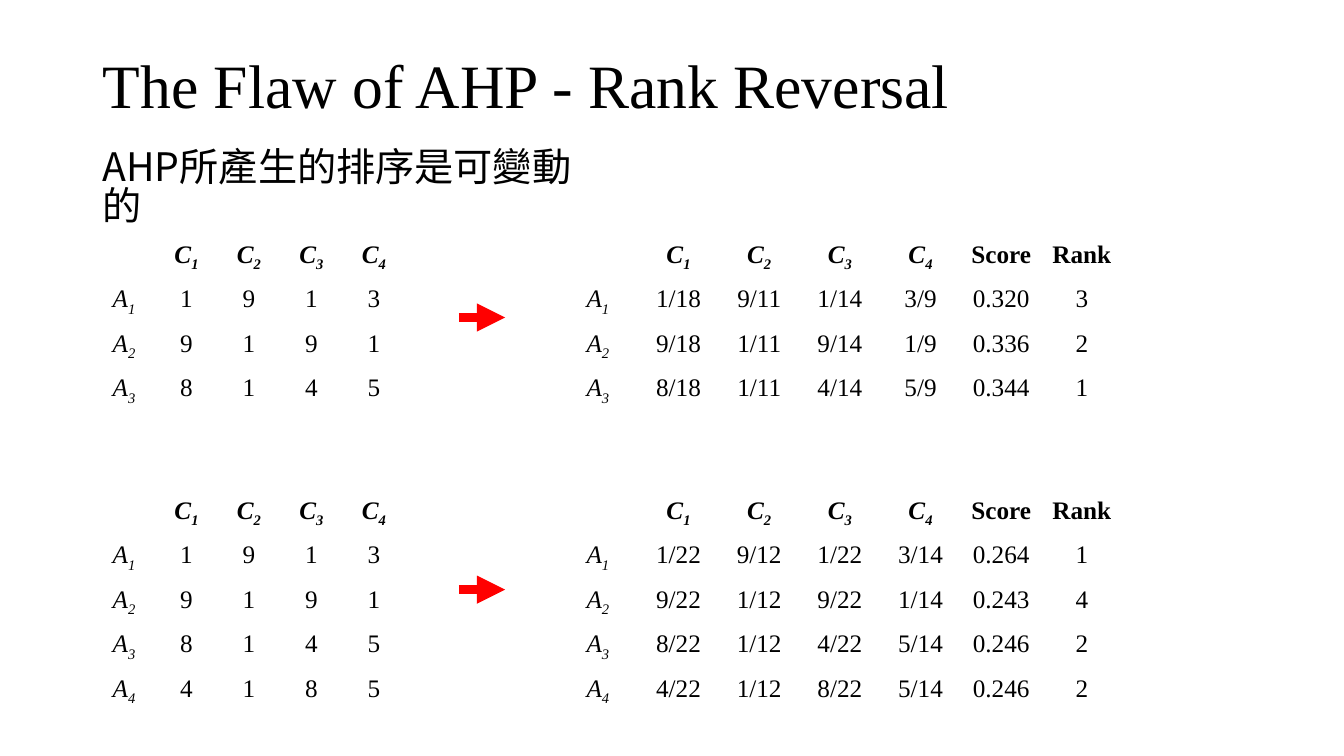
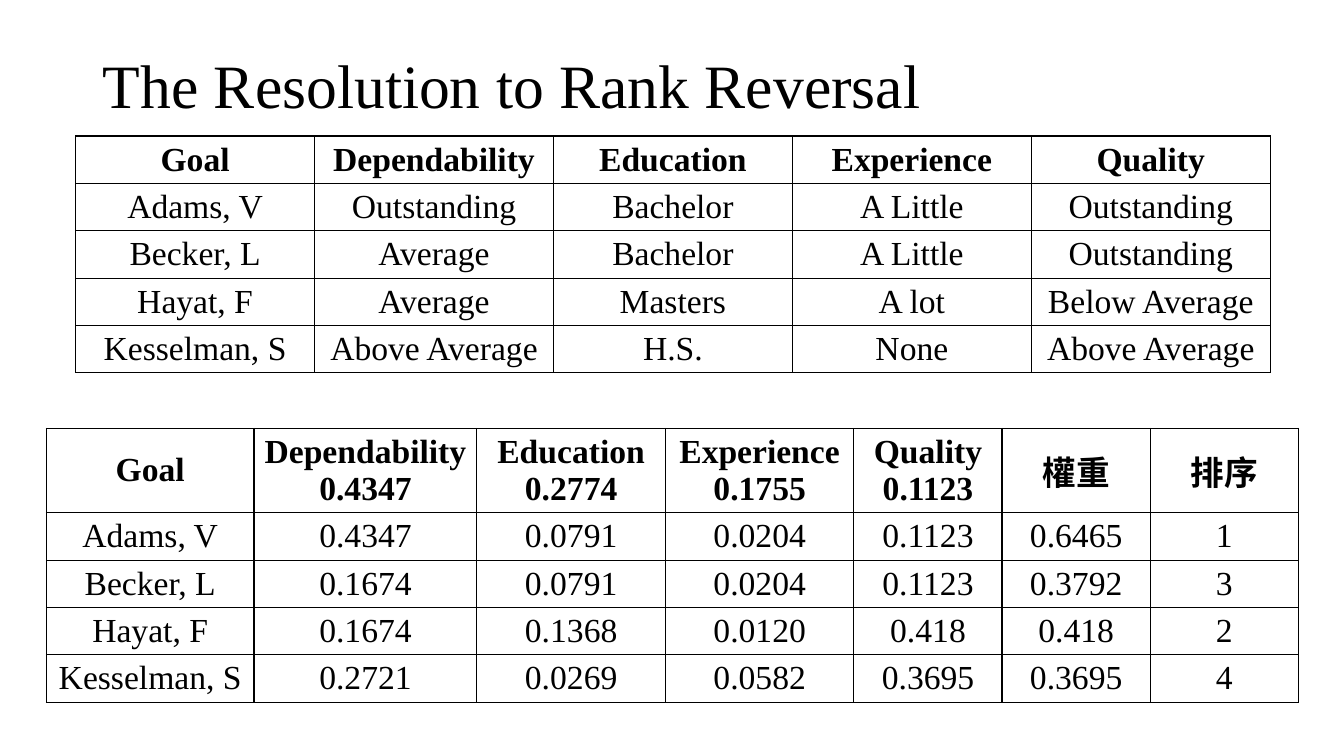
"""Build two slides on rank reversal in AHP and how to resolve it."""
from lxml import etree
from pptx import Presentation
from pptx.dml.color import RGBColor
from pptx.enum.shapes import MSO_CONNECTOR
from pptx.enum.text import MSO_ANCHOR, MSO_AUTO_SIZE, PP_ALIGN
from pptx.oxml.ns import qn
from pptx.util import Inches, Pt

COLORS = {"text": "000000", "paper": "FFFFFF", "arrow": "FF0000"}
SERIF = "Times New Roman"
CJK = "Noto Sans CJK SC"
LEFT = 0.92

prs = Presentation()
prs.slide_width, prs.slide_height = Inches(13.33), Inches(7.5)


def write(tf, text, size=18, font=SERIF, bold=False, align=PP_ALIGN.LEFT, spacing=None):
    """Fill a text frame; a newline starts a paragraph, "C_1" gives an italic C with a subscript."""
    for i, line in enumerate(text.split("\n")):
        p = tf.paragraphs[0] if i == 0 else tf.add_paragraph()
        p.alignment = align
        if spacing:
            p.line_spacing = spacing
        parts = line.split("_")
        for j, part in enumerate(parts):
            r = p.add_run()
            r.text = part
            r.font.size, r.font.name = Pt(size), font
            r.font.bold, r.font.italic = bold, len(parts) > 1
            r.font.color.rgb = RGBColor.from_string(COLORS["text"])
            rPr = r._r.get_or_add_rPr()
            etree.SubElement(rPr, qn("a:ea"), typeface=CJK)
            if j:
                rPr.set("baseline", "-25000")


def add_grid(s, left, top, widths, heights, rows, size, bordered=False):
    """Add a table with white cells, centred text and a bold first row."""
    table = s.shapes.add_table(len(rows), len(widths), Inches(left), Inches(top),
                               Inches(sum(widths)), Inches(sum(heights))).table
    table.first_row = table.horz_banding = False
    for col, width in zip(table.columns, widths):
        col.width = Inches(width)
    for i, (row, height, texts) in enumerate(zip(table.rows, heights, rows)):
        row.height = Inches(height)
        for cell, text in zip(row.cells, texts):
            if bordered:
                cell.vertical_anchor = MSO_ANCHOR.MIDDLE
                tcPr = cell._tc.get_or_add_tcPr()
                for side in ("lnL", "lnR", "lnT", "lnB"):
                    ln = etree.SubElement(tcPr, qn(f"a:{side}"), w=str(Pt(1)))
                    fill = etree.SubElement(ln, qn("a:solidFill"))
                    etree.SubElement(fill, qn("a:srgbClr"), val=COLORS["text"])
            cell.fill.solid()
            cell.fill.fore_color.rgb = RGBColor.from_string(COLORS["paper"])
            if text:
                write(cell.text_frame, text, size=size, bold=i == 0, align=PP_ALIGN.CENTER)


slides = []
for title in ("The Flaw of AHP - Rank Reversal", "The Resolution to Rank Reversal"):
    s = prs.slides.add_slide(prs.slide_layouts[5])
    sp = s.shapes.title
    sp.left, sp.top, sp.width, sp.height = Inches(LEFT), Inches(0.4), Inches(11.5), Inches(0.95)
    tf = sp.text_frame
    tf.auto_size, tf.vertical_anchor = MSO_AUTO_SIZE.NONE, MSO_ANCHOR.MIDDLE
    write(tf, title, size=44, spacing=0.9)
    slides.append(s)
flaw, resolution = slides

tf = flaw.shapes.add_textbox(Inches(LEFT), Inches(1.4), Inches(5.2), Inches(0.57)).text_frame
tf.word_wrap = True
tf.margin_top = Inches(0.09)
write(tf, "AHP所產生的排序是可變動的", size=28, font=CJK, spacing=0.83)

criteria = ["", "C_1", "C_2", "C_3", "C_4"]
ratings = ["1 9 1 3", "9 1 9 1", "8 1 4 5", "4 1 8 5"]
cases = [
    (2.34, 3.15, ["1/18 9/11 1/14 3/9 0.320 3",
                  "9/18 1/11 9/14 1/9 0.336 2",
                  "8/18 1/11 4/14 5/9 0.344 1"]),
    (4.88, 5.85, ["1/22 9/12 1/22 3/14 0.264 1",
                  "9/22 1/12 9/22 1/14 0.243 4",
                  "8/22 1/12 4/22 5/14 0.246 2",
                  "4/22 1/12 8/22 5/14 0.246 2"]),
]
for top, arrow_y, scores in cases:
    count = len(scores)
    for left, width, header, lines in (
        (LEFT, 0.62, criteria, ratings[:count]),
        (5.53, 0.8, criteria + ["Score", "Rank"], scores),
    ):
        rows = [header] + [[f"A_{n}"] + line.split() for n, line in enumerate(lines, 1)]
        add_grid(flaw, left, top, [width] * len(header), [0.41] * len(rows), rows, 18)
    arrow = flaw.shapes.add_connector(MSO_CONNECTOR.STRAIGHT, Inches(4.55), Inches(arrow_y),
                                      Inches(5.01), Inches(arrow_y))
    arrow.line.color.rgb = RGBColor.from_string(COLORS["arrow"])
    arrow.line.width = Pt(6.75)
    etree.SubElement(arrow.line._get_or_add_ln(), qn("a:tailEnd"), type="triangle")
    etree.SubElement(arrow._element.spPr, qn("a:effectLst"))

candidates = [
    ["Goal", "Dependability", "Education", "Experience", "Quality"],
    ["Adams, V", "Outstanding", "Bachelor", "A Little", "Outstanding"],
    ["Becker, L", "Average", "Bachelor", "A Little", "Outstanding"],
    ["Hayat, F", "Average", "Masters", "A lot", "Below Average"],
    ["Kesselman, S", "Above Average", "H.S.", "None", "Above Average"],
]
weights = [
    ["Goal", "Dependability\n0.4347", "Education\n0.2774", "Experience\n0.1755",
     "Quality\n0.1123", "權重", "排序"],
    ["Adams, V", "0.4347", "0.0791", "0.0204", "0.1123", "0.6465", "1"],
    ["Becker, L", "0.1674", "0.0791", "0.0204", "0.1123", "0.3792", "3"],
    ["Hayat, F", "0.1674", "0.1368", "0.0120", "0.418", "0.418", "2"],
    ["Kesselman, S", "0.2721", "0.0269", "0.0582", "0.3695", "0.3695", "4"],
]
add_grid(resolution, 0.75, 1.35, [2.37] * 5, [0.47] * 5, candidates, 24, bordered=True)
add_grid(resolution, 0.46, 4.25, [2.06, 2.21, 1.87, 1.87, 1.47, 1.47, 1.47],
         [0.83] + [0.47] * 4, weights, 24, bordered=True)

prs.save("out.pptx")
